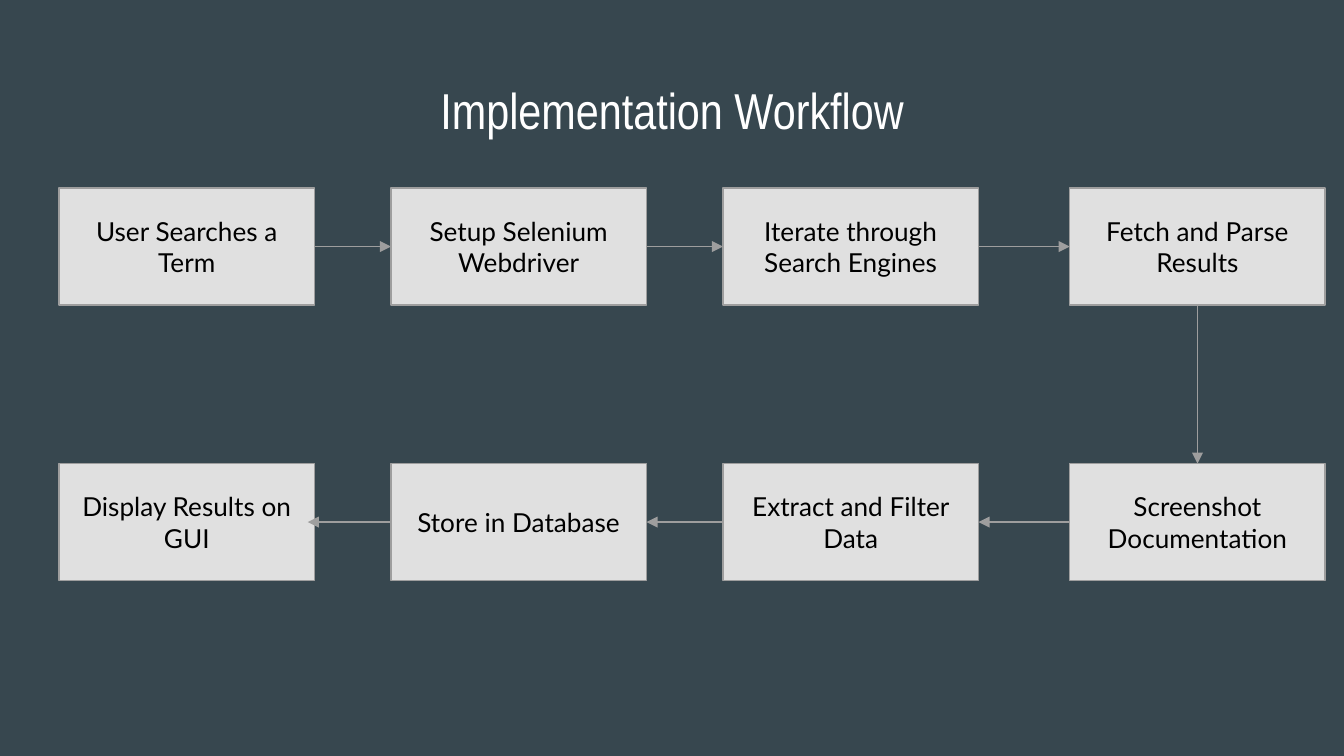
from dataclasses import dataclass
from itertools import pairwise

from lxml.etree import SubElement
from pptx import Presentation
from pptx.dml.color import RGBColor
from pptx.enum.shapes import MSO_CONNECTOR as Connector, MSO_SHAPE as Preset
from pptx.enum.text import MSO_ANCHOR as Anchor, MSO_AUTO_SIZE as AutoSize, PP_ALIGN as Align
from pptx.oxml.ns import qn
from pptx.shapes.autoshape import Shape
from pptx.slide import Slide
from pptx.util import Inches, Pt

SLIDE_WIDTH = Inches(10)
SLIDE_HEIGHT = SLIDE_WIDTH * 9 // 16

COLORS = {"background": "37474F", "box": "E0E0E0", "line": "9E9E9E", "title": "FFFFFF", "text": "000000"}
FONTS = {
    "title": {"name": "Arial Narrow", "size": Pt(27)},
    "text": {"name": "Lato", "size": Pt(14)},
}
FRAME = {side: Inches(0.1) for side in ("margin_left", "margin_right", "margin_top", "margin_bottom")}
FRAME |= {"word_wrap": True, "auto_size": AutoSize.NONE}

COLUMN_LEFTS = [0.44 + 2.47 * column for column in range(3)] + [7.96]
ROW_TOPS = [1.4, 3.45]
BOX_WIDTH, BOX_HEIGHT = 1.9, 0.87
LINE_WIDTH = Pt(0.75)
LAST_OVERLAP = Inches(0.05)
TOP, LEFT, BOTTOM, RIGHT = range(4)  # connection sites of a rectangle


@dataclass(frozen=True)
class Step:
    label: str
    column: int
    row: int


STEPS = [
    Step("User Searches a Term", 0, 0),
    Step("Setup Selenium Webdriver", 1, 0),
    Step("Iterate through Search Engines", 2, 0),
    Step("Fetch and Parse Results", 3, 0),
    Step("Screenshot Documentation", 3, 1),
    Step("Extract and Filter Data", 2, 1),
    Step("Store in Database", 1, 1),
    Step("Display Results on GUI", 0, 1),
]


def color(name: str) -> RGBColor:
    return RGBColor.from_string(COLORS[name])


def write(shape: Shape, text: str, style: str, anchor: Anchor) -> None:
    frame = shape.text_frame
    for name, value in {**FRAME, "vertical_anchor": anchor}.items():
        setattr(frame, name, value)
    para = frame.paragraphs[0]
    para.alignment = Align.CENTER
    span = para.add_run()
    span.text = text
    for name, value in FONTS[style].items():
        setattr(span.font, name, value)
    span.font.color.rgb = color(style)


def add_title(slide: Slide, text: str) -> None:
    title = slide.shapes.title
    place = {"left": 0.34, "top": 0.49, "width": 9.32, "height": 0.63}
    for name, value in place.items():
        setattr(title, name, Inches(value))
    write(title, text, "title", Anchor.TOP)


def add_box(slide: Slide, step: Step) -> Shape:
    place = (COLUMN_LEFTS[step.column], ROW_TOPS[step.row], BOX_WIDTH, BOX_HEIGHT)
    box = slide.shapes.add_shape(Preset.RECTANGLE, *map(Inches, place))
    box.shadow.inherit = False
    box.fill.solid()
    box.fill.fore_color.rgb = color("box")
    box.line.color.rgb = color("line")
    box.line.width = LINE_WIDTH
    write(box, step.label, "text", Anchor.MIDDLE)
    return box


def exit_and_entry(start: Step, end: Step) -> tuple[int, int]:
    """Choose the facing sides of two neighbouring steps."""
    if start.row != end.row:
        return BOTTOM, TOP
    return (RIGHT, LEFT) if start.column < end.column else (LEFT, RIGHT)


def add_arrow(slide: Slide, start: Step, end: Step, boxes: dict[Step, Shape]) -> None:
    leave, enter = exit_and_entry(start, end)
    arrow = slide.shapes.add_connector(Connector.STRAIGHT, 0, 0, 0, 0)
    arrow.begin_connect(boxes[start], leave)
    if end == STEPS[-1]:
        target = boxes[end]
        arrow.end_x = target.left + target.width - LAST_OVERLAP
        arrow.end_y = target.top + target.height // 2
    else:
        arrow.end_connect(boxes[end], enter)
    arrow.line.color.rgb = color("line")
    arrow.line.width = LINE_WIDTH
    SubElement(arrow.line._get_or_add_ln(), qn("a:tailEnd"), type="triangle")
    SubElement(arrow._element.spPr, qn("a:effectLst"))


def main() -> None:
    deck = Presentation()
    deck.slide_width, deck.slide_height = SLIDE_WIDTH, SLIDE_HEIGHT
    slide = deck.slides.add_slide(deck.slide_layouts.get_by_name("Title Only"))
    slide.background.fill.solid()
    slide.background.fill.fore_color.rgb = color("background")
    add_title(slide, "Implementation Workflow")
    boxes = {step: add_box(slide, step) for step in STEPS}
    for start, end in pairwise(STEPS):
        add_arrow(slide, start, end, boxes)
    deck.save("out.pptx")


if __name__ == "__main__":
    main()
